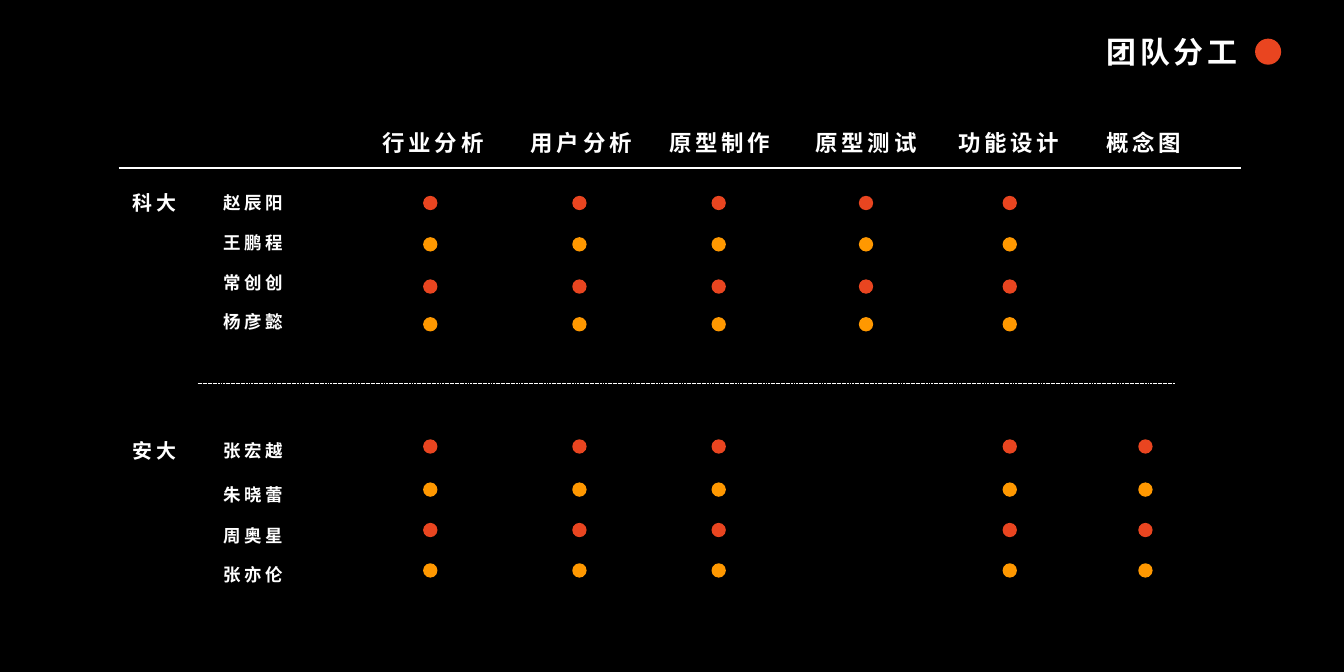
from lxml.etree import SubElement
from pptx import Presentation
from pptx.dml.color import RGBColor
from pptx.enum.dml import MSO_LINE_DASH_STYLE as DASH
from pptx.enum.shapes import MSO_CONNECTOR as LINK, MSO_SHAPE as SHAPE
from pptx.enum.text import MSO_ANCHOR as ANCHOR, MSO_AUTO_SIZE as FIT, PP_ALIGN as ALIGN
from pptx.oxml.ns import qn
from pptx.util import Pt

SCALE = 9144  # EMU per px, 100 px to the inch
WHITE, BLACK, RED, AMBER = "FFFFFF", "000000", "E94520", "FF9800"
NOTO, ARIAL = "Noto Sans CJK SC", "Arial"

# task, label left, dot left
TASKS = [
    ("行业分析", 390, 471), ("用户分析", 555, 637), ("原型制作", 709, 792),
    ("原型测试", 872, 956), ("功能设计", 1031, 1116), ("概念图", 1181, 1267),
]
# school, task left undone, members as (name, font, label top, dot top)
TEAMS = [
    ("科大", "概念图", [
        ("赵辰阳", NOTO, 198, 218), ("王鹏程", NOTO, 242, 264),
        ("常创创", ARIAL, 286, 311), ("杨彦懿", ARIAL, 330, 353)]),
    ("安大", "原型测试", [
        ("张宏越", ARIAL, 474, 489), ("朱晓蕾", ARIAL, 523, 537),
        ("周奥星", ARIAL, 568, 582), ("张亦伦", ARIAL, 611, 627)]),
]


def px(n):
    return n * SCALE


def color(code):
    return RGBColor.from_string(code)


def write(shape, text, size, face=NOTO):
    """Fill a shape with one centred, bold, letter-spaced line."""
    frame = shape.text_frame
    frame.text = text
    frame.word_wrap = True
    frame.auto_size = FIT.NONE
    frame.vertical_anchor = ANCHOR.MIDDLE
    para = frame.paragraphs[0]
    para.alignment = ALIGN.CENTER
    font = para.font
    font.size, font.bold, font.name = Pt(size), True, face
    font.color.rgb = color(WHITE)
    props = para._p.pPr.find(qn("a:defRPr"))
    props.set("spc", "300")
    SubElement(props, qn("a:ea")).set("typeface", face)


def title(slide, text):
    head = slide.shapes.title
    head.left, head.top, head.width, head.height = map(px, (1194, 19, 221, 77))
    write(head, text, 24)


def label(slide, text, x, y, size, face=NOTO):
    box = slide.shapes.add_textbox(px(x), px(y), px(184), px(56))
    write(box, text, size, face)


def dot(slide, x, y, fill, size=16):
    disc = slide.shapes.add_shape(SHAPE.OVAL, px(x), px(y), px(size), px(size))
    disc.shadow.inherit = False
    disc.fill.solid()
    disc.fill.fore_color.rgb = color(fill)
    disc.line.fill.background()


def rule(slide, left, right, y, width, dash=None):
    link = slide.shapes.add_connector(LINK.STRAIGHT, px(left), px(y), px(right), px(y))
    link.line.color.rgb = color(WHITE)
    link.line.width = Pt(width)
    link.line.dash_style = dash
    SubElement(link._element.spPr, qn("a:effectLst"))


def team(slide, school, undone, members):
    label(slide, school, 80, members[0][2], 16)
    for i, (name, face, top, mark) in enumerate(members):
        label(slide, name, 190, top, 14, face)
        for task, _, x in TASKS:
            if task != undone:
                dot(slide, x, mark, AMBER if i % 2 else RED)


def main():
    deck = Presentation()
    deck.slide_width, deck.slide_height = px(1496), px(748)
    slide = deck.slides.add_slide(deck.slide_layouts[5])
    slide.background.fill.solid()
    slide.background.fill.fore_color.rgb = color(BLACK)

    title(slide, "团队分工")
    dot(slide, 1397, 43, RED, 29)
    for task, x, _ in TASKS:
        label(slide, task, x, 131, 18)
    rule(slide, 132, 1381, 187, 2.25)
    for group in TEAMS:
        team(slide, *group)
    rule(slide, 220, 1308, 427, 0.5, DASH.SQUARE_DOT)
    deck.save("out.pptx")


if __name__ == "__main__":
    main()
